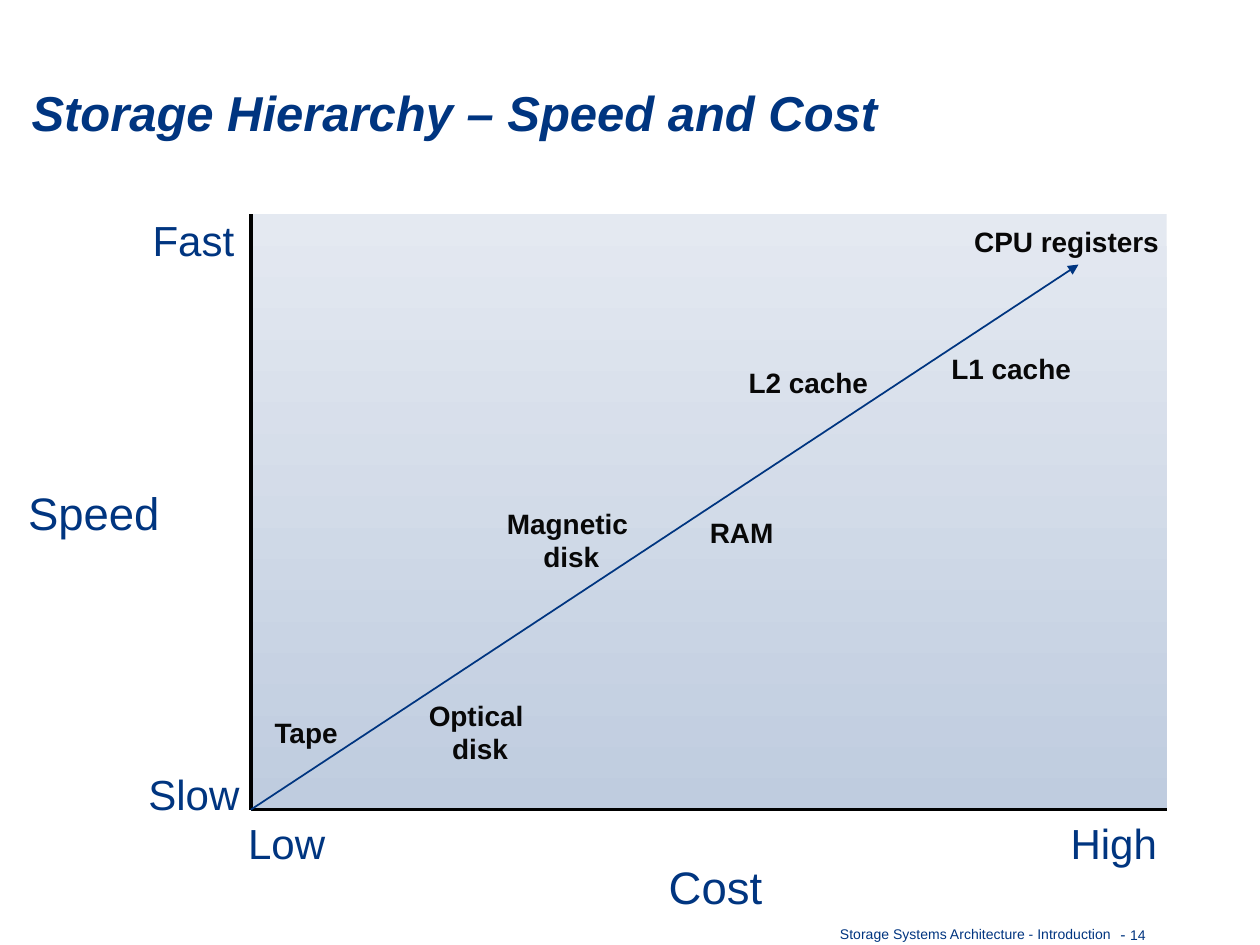
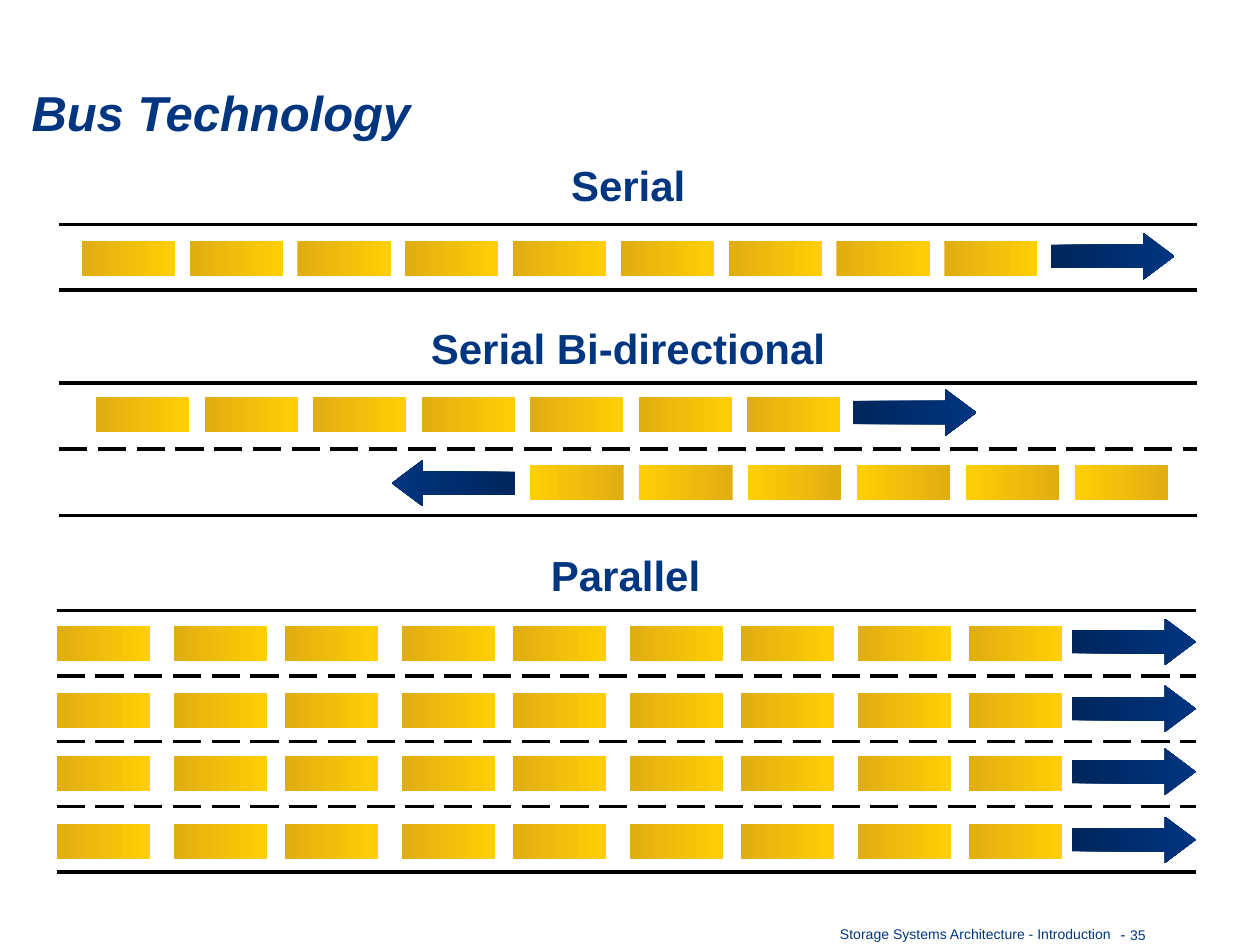
from lxml import etree
from pptx import Presentation
from pptx.dml.color import RGBColor
from pptx.enum import dml, shapes, text
from pptx.oxml import ns
from pptx.util import Pt

COLORS = {
    "navy": "003580", "deep_navy": "00265C", "label": "080808", "axis": "000000",
    "sky": "E4E9F1", "haze": "BFCCDF", "amber": "E0AD12", "yellow": "FFCF05",
}
FONT = "Arial"
ALIGN = text.PP_ALIGN
PACKET_W, PACKET_H = 53.3, 20.2
ARROW_W, ARROW_H = 70.6, 26.6


def color(name):
    return RGBColor.from_string(COLORS[name])


class Deck:
    """Holds the presentation, its style and the current slide."""

    def __init__(self):
        self.prs = Presentation()
        self.prs.slide_width, self.prs.slide_height = Pt(720), Pt(540)
        self.slide = None

    def new_slide(self, heading, number):
        self.slide = self.prs.slides.add_slide(self.prs.slide_layouts[5])
        title = self.slide.shapes.title
        title.left, title.top, title.width, title.height = Pt(18), Pt(46), Pt(685.5), Pt(36)
        frame = self.frame(title, anchor=text.MSO_ANCHOR.MIDDLE)
        frame.paragraphs[0].alignment = ALIGN.LEFT
        self.run(frame.paragraphs[0], heading, 28, bold=True, italic=True)
        self.footer(number)

    def frame(self, shape, inset=(0, 0), wrap=True, anchor=text.MSO_ANCHOR.TOP):
        frame = shape.text_frame
        frame.auto_size = text.MSO_AUTO_SIZE.NONE
        frame.word_wrap = wrap
        frame.vertical_anchor = anchor
        frame.margin_left = frame.margin_right = Pt(inset[0])
        frame.margin_top = frame.margin_bottom = Pt(inset[1])
        return frame

    def run(self, paragraph, words, size, ink="navy", bold=False, italic=False):
        run = paragraph.add_run()
        run.text = words
        font = run.font
        font.name, font.size, font.bold, font.italic = FONT, Pt(size), bold, italic
        font.color.rgb = color(ink)

    def box(self, left, top, width, height, align, **frame_style):
        shape = self.slide.shapes.add_textbox(Pt(left), Pt(top), Pt(width), Pt(height))
        paragraph = self.frame(shape, **frame_style).paragraphs[0]
        paragraph.alignment = align
        return paragraph

    def footer(self, number):
        course = self.box(342, 525.6, 302.4, 18, ALIGN.RIGHT, inset=(7.2, 3.6))
        self.run(course, "Storage Systems Architecture - Introduction ", 8)
        page = self.box(630.7, 524.9, 168.5, 18, ALIGN.LEFT, inset=(7.2, 3.6))
        self.run(page, " - ", 9)
        self.run(page, number, 8)

    def label(self, words, left, top, width, size=24, align=ALIGN.CENTER,
              ink="navy", bold=False, wrap=True):
        lines = words.split("\n")
        paragraph = self.box(left, top, width, size * 1.2 * len(lines), align, wrap=wrap)
        for index, line in enumerate(lines):
            if index:
                paragraph.add_line_break()
            self.run(paragraph, line, size, ink, bold)

    def gradient(self, kind, left, top, width, height, start, end, angle=0, rotation=0):
        shape = self.slide.shapes.add_shape(kind, Pt(left), Pt(top), Pt(width), Pt(height))
        shape.shadow.inherit = False
        shape.line.fill.background()
        shape.fill.gradient()
        shape.fill.gradient_angle = angle
        for stop, name, position in zip(shape.fill.gradient_stops, (start, end), (0, 1)):
            stop.color.rgb = color(name)
            stop.position = position
        shape.rotation = rotation
        return shape

    def line(self, x1, y1, x2, y2, ink="axis", width=2, dashed=False, arrow=False):
        connector = self.slide.shapes.add_connector(
            shapes.MSO_CONNECTOR.STRAIGHT, Pt(x1), Pt(y1), Pt(x2), Pt(y2))
        connector.line.color.rgb = color(ink)
        connector.line.width = Pt(width)
        if dashed:
            connector.line.dash_style = dml.MSO_LINE.LONG_DASH
        if arrow:
            etree.SubElement(connector.line._get_or_add_ln(), ns.qn("a:tailEnd"), type="triangle")
        etree.SubElement(connector._element.spPr, ns.qn("a:effectLst"))

    def lane(self, packet_lefts, top, arrow_left, arrow_rise=4.3, rotation=0):
        """A row of data packets with the arrow that shows their direction."""
        for left in packet_lefts:
            self.gradient(shapes.MSO_SHAPE.RECTANGLE, left, top, PACKET_W, PACKET_H,
                          "amber", "yellow", rotation=rotation)
        arrow = self.gradient(shapes.MSO_SHAPE.RIGHT_ARROW, arrow_left, top - arrow_rise,
                              ARROW_W, ARROW_H, "deep_navy", "navy", rotation=rotation)
        arrow.adjustments[0], arrow.adjustments[1] = 0.5, 0.665


def evenly(start, step, count):
    return [start + step * i for i in range(count)]


def storage_hierarchy(deck):
    deck.new_slide("Storage Hierarchy – Speed and Cost", "14")

    # Plot area with its axes and trend arrow
    left, top, right, bottom = 143.3, 122.4, 666.7, 462.7
    deck.gradient(shapes.MSO_SHAPE.RECTANGLE, left, top, right - left, bottom - top,
                  "sky", "haze", angle=270)
    deck.line(left, top, left, bottom)
    deck.line(right, bottom, left, bottom)
    deck.line(left, bottom, 616.3, 151.2, ink="navy", width=1, arrow=True)

    # Axis names and ends
    deck.label("Speed", 13, 277.2, 81.4, size=26)
    deck.label("Cost", 365, 491, 87.8, size=26)
    deck.label("Slow", 71.3, 439.2, 65.5, align=ALIGN.RIGHT)
    deck.label("Fast", 74.9, 122.4, 59, align=ALIGN.RIGHT)
    deck.label("Low", 133.2, 467.3, 61.2)
    deck.label("High", 606.2, 467.3, 60.5)

    # Storage types along the trend
    for storage, x, y, width in (
        ("Tape", 156.2, 409, 37.4),
        ("Optical \ndisk", 244.8, 398.9, 59),
        ("Magnetic \ndisk", 289.4, 289.4, 74.2),
        ("RAM", 405.4, 294.5, 36.7),
        ("L2 cache", 427.7, 208.8, 68.4),
        ("L1 cache", 543.6, 200.9, 68.4),
        ("CPU registers", 556.6, 128.2, 105.8),
    ):
        deck.label(storage, x, y, width, size=16, ink="label", bold=True, wrap=False)


def bus_technology(deck):
    deck.new_slide("Bus Technology", "35")

    # Serial
    deck.label("Serial", 283, 91.4, 152, bold=True)
    for y in (128.2, 165.6):
        deck.line(33.8, y, 684, y)
    deck.lane(evenly(46.8, 61.6, 9), 137.5, 600.5)

    # Serial bi-directional
    deck.label("Serial Bi-directional", 223.9, 184.3, 270, bold=True)
    for i, y in enumerate(evenly(218.9, 37.8, 3)):
        deck.line(33.8, y, 684, y, dashed=i == 1)
    deck.lane(evenly(54.9, 62, 7), 226.8, 487.4)
    deck.lane(evenly(303.1, 62.2, 6), 265.7, 223.9, arrow_rise=2.9, rotation=180)

    # Parallel: packets stand in pairs
    deck.label("Parallel", 281.5, 313.9, 152, bold=True)
    for i, y in enumerate(evenly(349, 37.3, 5)):
        deck.line(32.4, y, 683.3, y, dashed=0 < i < 4)
    paired = [32.4 + 130.3 * (i // 2) + 67 * (i % 2) for i in range(9)]
    for top in (357.8, 396, 432, 470.9):
        deck.lane(paired, top, 612.7)


def main():
    deck = Deck()
    storage_hierarchy(deck)
    bus_technology(deck)
    deck.prs.save("out.pptx")


if __name__ == "__main__":
    main()
